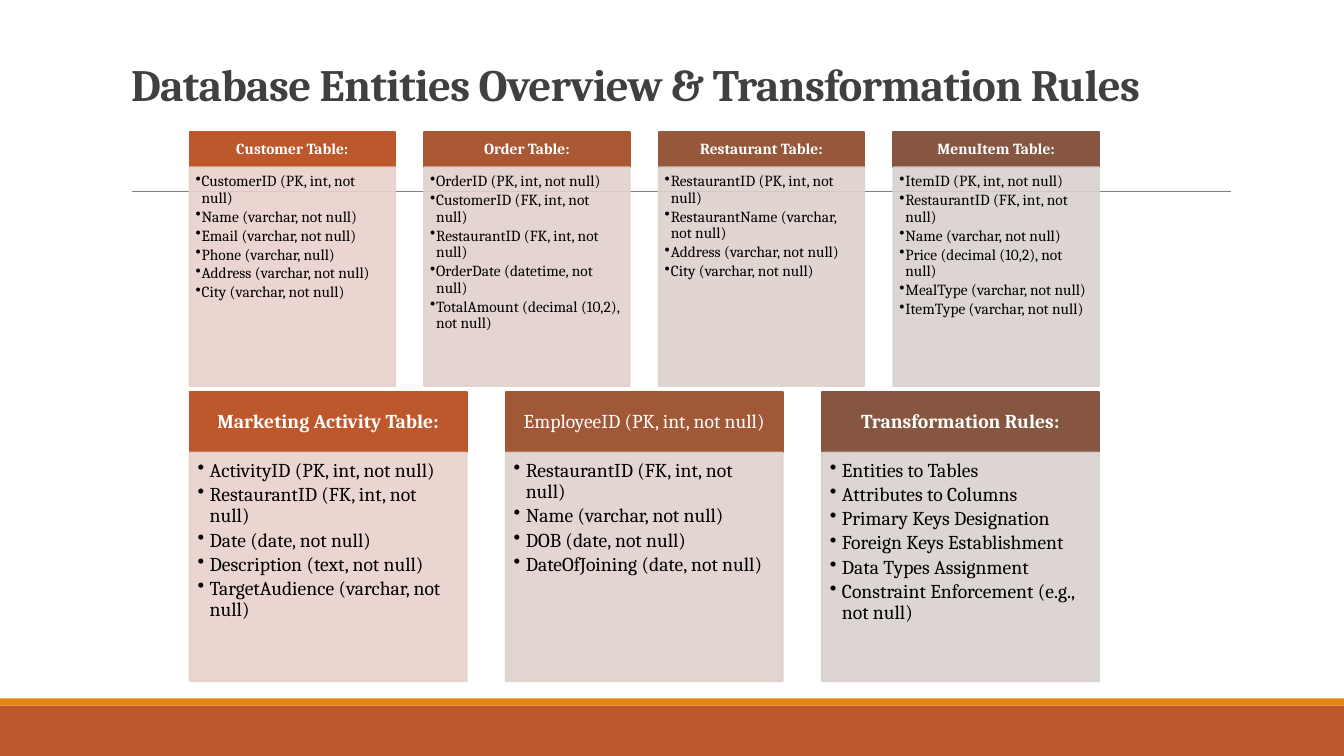
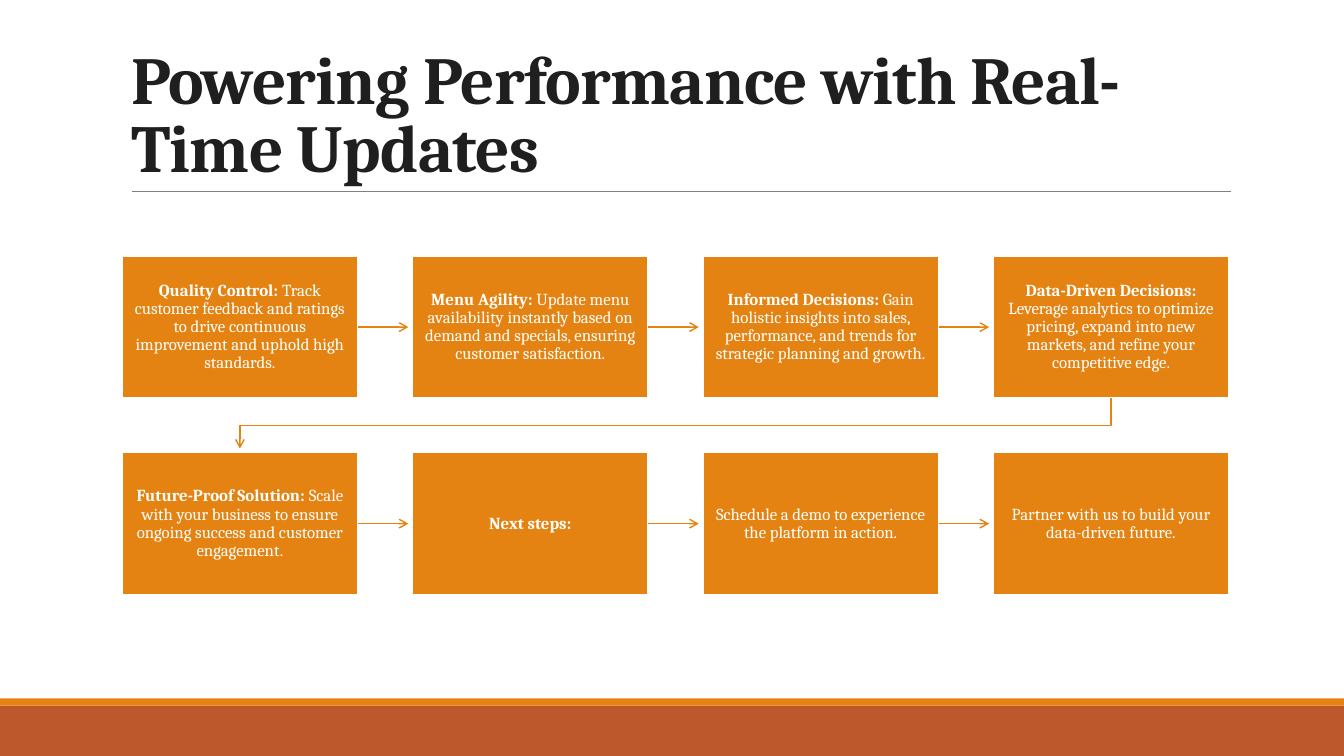
"""Build two slides: the database entities overview and the real-time updates flow."""
import lxml.etree
import pptx
import pptx.dml.color
import pptx.enum.shapes
import pptx.enum.text
import pptx.oxml.ns
import pptx.util

Inches = pptx.util.Inches
Pt = pptx.util.Pt
qn = pptx.oxml.ns.qn
CENTER = pptx.enum.text.PP_ALIGN.CENTER
LEFT = pptx.enum.text.PP_ALIGN.LEFT
TOP = pptx.enum.text.MSO_ANCHOR.TOP
MIDDLE = pptx.enum.text.MSO_ANCHOR.MIDDLE
BOTTOM = pptx.enum.text.MSO_ANCHOR.BOTTOM
STRAIGHT = pptx.enum.shapes.MSO_CONNECTOR.STRAIGHT

FONT = "Cambria"
RUST = "BD582C"
ORANGE = "E48312"
WHITE = "FFFFFF"


def color(value):
    return pptx.dml.color.RGBColor.from_string(value)


def add_box(slide, at, fill, outline=None, paragraphs=(), size=12, ink=WHITE,
            margins=(0, 0, 0, 0), bullet_indent=None):
    """Add a rectangle whose paragraphs are lists of (text, bold) runs."""
    box = slide.shapes.add_shape(pptx.enum.shapes.MSO_SHAPE.RECTANGLE,
                                 *[Inches(length) for length in at])
    box.shadow.inherit = False
    box.fill.solid()
    box.fill.fore_color.rgb = color(fill)
    if outline:
        box.line.color.rgb = color(outline)
        box.line.width = Pt(1.25)
    else:
        box.line.fill.background()
    frame = box.text_frame
    frame.margin_left, frame.margin_top, frame.margin_right, frame.margin_bottom = [
        Inches(margin) for margin in margins]
    frame.vertical_anchor = TOP if bullet_indent else MIDDLE
    for index, runs in enumerate(paragraphs):
        paragraph = frame.add_paragraph() if index else frame.paragraphs[0]
        paragraph.alignment = LEFT if bullet_indent else CENTER
        paragraph.line_spacing = 0.9
        if bullet_indent:
            paragraph.space_after = Pt(size * 0.15)
            properties = paragraph._p.get_or_add_pPr()
            properties.set("marL", str(Inches(bullet_indent)))
            properties.set("indent", str(-Inches(bullet_indent)))
            lxml.etree.SubElement(properties, qn("a:buChar"), char="•")
        paragraph.font.name = FONT
        paragraph.font.size = Pt(size)
        paragraph.font.color.rgb = color(ink)
        for text, bold in runs:
            run = paragraph.add_run()
            run.text = text
            run.font.bold = bold
    return box


presentation = pptx.Presentation()
presentation.slide_width = Inches(13.33)
presentation.slide_height = Inches(7.5)
title_only = presentation.slide_layouts[5]
for placeholder in list(title_only.placeholders)[1:]:
    title_only.shapes.element.remove(placeholder.element)

slides = []
for heading, height, size, ink in [
    ("Database Entities Overview & Transformation Rules", 0.84, 32, "404040"),
    ("Powering Performance with Real-Time Updates", 1.59, 48, "1F1F1F"),
]:
    slide = presentation.slides.add_slide(title_only)
    slides.append(slide)
    title = slide.shapes.title
    title.left, title.top = Inches(1.2), Inches(0.31)
    title.width, title.height = Inches(11), Inches(height)
    title.text_frame.text = heading
    title.text_frame.auto_size = pptx.enum.text.MSO_AUTO_SIZE.NONE
    title.text_frame.vertical_anchor = BOTTOM
    paragraph = title.text_frame.paragraphs[0]
    paragraph.alignment = LEFT
    paragraph.line_spacing = 0.85
    paragraph.font.name = FONT
    paragraph.font.size = Pt(size)
    paragraph.font.bold = True
    paragraph.font.color.rgb = color(ink)
    paragraph.runs[0]._r.get_or_add_rPr().set("spc", "-50")
entities_slide, updates_slide = slides

footer_band = add_box(entities_slide, (0, 7, 13.33, 0.5), RUST)
accent_band = add_box(entities_slide, (0, 6.93, 13.33, 0.07), ORANGE)
title_rule = entities_slide.shapes.add_connector(
    STRAIGHT, Inches(1.31), Inches(1.9), Inches(12.21), Inches(1.9))
title_rule.line.color.rgb = color("808080")
title_rule.line.width = Pt(0.5)
lxml.etree.SubElement(title_rule.element.spPr, qn("a:effectLst"))
for position, shared in enumerate([footer_band, accent_band, title_rule], start=2):
    title_only.shapes.element.insert(position, shared.element)

entity_rows = [
    dict(top=1.31, header=0.35, body=2.17, width=2.04, size=11, indent=0.06,
         header_margins=(0.09, 0.05, 0.09, 0.05), body_margins=(0.06, 0.06, 0.09, 0.1),
         cards=[
             ("Customer Table:", True, RUST, "E8D1CD", [
                 "CustomerID (PK, int, not null)", "Name (varchar, not null)",
                 "Email (varchar, not null)", "Phone (varchar, null)",
                 "Address (varchar, not null)", "City (varchar, not null)"]),
             ("Order Table:", True, "AA5834", "E3D1CD", [
                 "OrderID (PK, int, not null)", "CustomerID (FK, int, not null)",
                 "RestaurantID (FK, int, not null)", "OrderDate (datetime, not null)",
                 "TotalAmount (decimal (10,2), not null)"]),
             ("Restaurant Table:", True, "97573A", "DED1CE", [
                 "RestaurantID (PK, int, not null)", "RestaurantName (varchar, not null)",
                 "Address (varchar, not null)", "City (varchar, not null)"]),
             ("MenuItem Table:", True, "865640", "D9D1CF", [
                 "ItemID (PK, int, not null)", "RestaurantID (FK, int, not null)",
                 "Name (varchar, not null)", "Price (decimal (10,2), not null)",
                 "MealType (varchar, not null)", "ItemType (varchar, not null)"]),
         ]),
    dict(top=3.89, header=0.6, body=2.27, width=2.75, size=14, indent=0.12,
         header_margins=(0.11, 0.06, 0.11, 0.06), body_margins=(0.08, 0.08, 0.11, 0.12),
         cards=[
             ("Marketing Activity Table:", True, RUST, "E8D1CD", [
                 "ActivityID (PK, int, not null)", "RestaurantID (FK, int, not null)",
                 "Date (date, not null)", "Description (text, not null)",
                 "TargetAudience (varchar, not null)"]),
             ("EmployeeID (PK, int, not null)", False, "A05837", "E1D1CE", [
                 "RestaurantID (FK, int, not null)", "Name (varchar, not null)",
                 "DOB (date, not null)", "DateOfJoining (date, not null)"]),
             ("Transformation Rules:", True, "865640", "D9D1CF", [
                 "Entities to Tables", "Attributes to Columns", "Primary Keys Designation",
                 "Foreign Keys Establishment", "Data Types Assignment",
                 "Constraint Enforcement (e.g., not null)"]),
         ]),
]
ROW_LEFT, ROW_RIGHT = 1.88, 10.9
for row in entity_rows:
    width, top, header = row["width"], row["top"], row["header"]
    pitch = (ROW_RIGHT - ROW_LEFT - width) / (len(row["cards"]) - 1)
    for column, (name, bold, header_fill, body_fill, fields) in enumerate(row["cards"]):
        left = ROW_LEFT + column * pitch
        add_box(entities_slide, (left, top, width, header), header_fill, header_fill,
                [[(name, bold)]], row["size"], WHITE, row["header_margins"])
        field_list = add_box(
            entities_slide, (left, top + header, width, row["body"]), body_fill, body_fill,
            [[(field, False)] for field in fields], row["size"], "000000",
            row["body_margins"], row["indent"])
        for tint in field_list.element.spPr.iter(qn("a:srgbClr")):
            lxml.etree.SubElement(tint, qn("a:alpha"), val="90000")

steps = [
    ("Quality Control:", " Track customer feedback and ratings to drive continuous "
     "improvement and uphold high standards."),
    ("Menu Agility:", " Update menu availability instantly based on demand and specials, "
     "ensuring customer satisfaction."),
    ("Informed Decisions:", " Gain holistic insights into sales, performance, and trends "
     "for strategic planning and growth."),
    ("Data-Driven Decisions:", " Leverage analytics to optimize pricing, expand into new "
     "markets, and refine your competitive edge."),
    ("Future-Proof Solution:", " Scale with your business to ensure ongoing success and "
     "customer engagement."),
    ("Next steps:", ""),
    ("", "Schedule a demo to experience the platform in action."),
    ("", "Partner with us to build your data-driven future."),
]
COLUMNS = 4
STEP_LEFT, STEP_TOP, STEP_WIDTH, STEP_HEIGHT = 1.21, 2.54, 2.34, 1.41
STEP_PITCH_X, STEP_PITCH_Y = 2.88, 1.95
ARROW_LENGTH = 0.5
arrows = []
for index, (lead, detail) in enumerate(steps):
    row, column = divmod(index, COLUMNS)
    left = STEP_LEFT + column * STEP_PITCH_X
    top = STEP_TOP + row * STEP_PITCH_Y
    runs = [(text, bold) for text, bold in [(lead, True), (detail, False)] if text]
    step = add_box(updates_slide, (left, top, STEP_WIDTH, STEP_HEIGHT), ORANGE, WHITE,
                   [runs], 12, WHITE, (0.11, 0.12, 0.11, 0.12))
    if column < COLUMNS - 1:
        right, middle = left + STEP_WIDTH, top + STEP_HEIGHT / 2
        arrow = updates_slide.shapes.add_connector(
            STRAIGHT, Inches(right), Inches(middle),
            Inches(right + ARROW_LENGTH), Inches(middle))
        arrow.begin_connect(step, 3)
        lxml.etree.SubElement(arrow.element.spPr, qn("a:effectLst"))
        arrows.append(arrow)

first_center = STEP_LEFT + STEP_WIDTH / 2
last_center = first_center + (COLUMNS - 1) * STEP_PITCH_X
first_row_bottom = STEP_TOP + STEP_HEIGHT
turn = first_row_bottom + 0.27
outline = updates_slide.shapes.build_freeform(
    Inches(last_center), Inches(first_row_bottom))
outline.add_line_segments(
    [(Inches(x), Inches(y)) for x, y in [
        (last_center, turn), (first_center, turn),
        (first_center, first_row_bottom + ARROW_LENGTH)]],
    close=False)
row_return = outline.convert_to_shape()
row_return.shadow.inherit = False
row_return.fill.background()
arrows.append(row_return)

for arrow in arrows:
    arrow.line.color.rgb = color(ORANGE)
    arrow.line.width = Pt(1)
    lxml.etree.SubElement(arrow.element.spPr.find(qn("a:ln")), qn("a:tailEnd"), type="arrow")

presentation.save("out.pptx")
